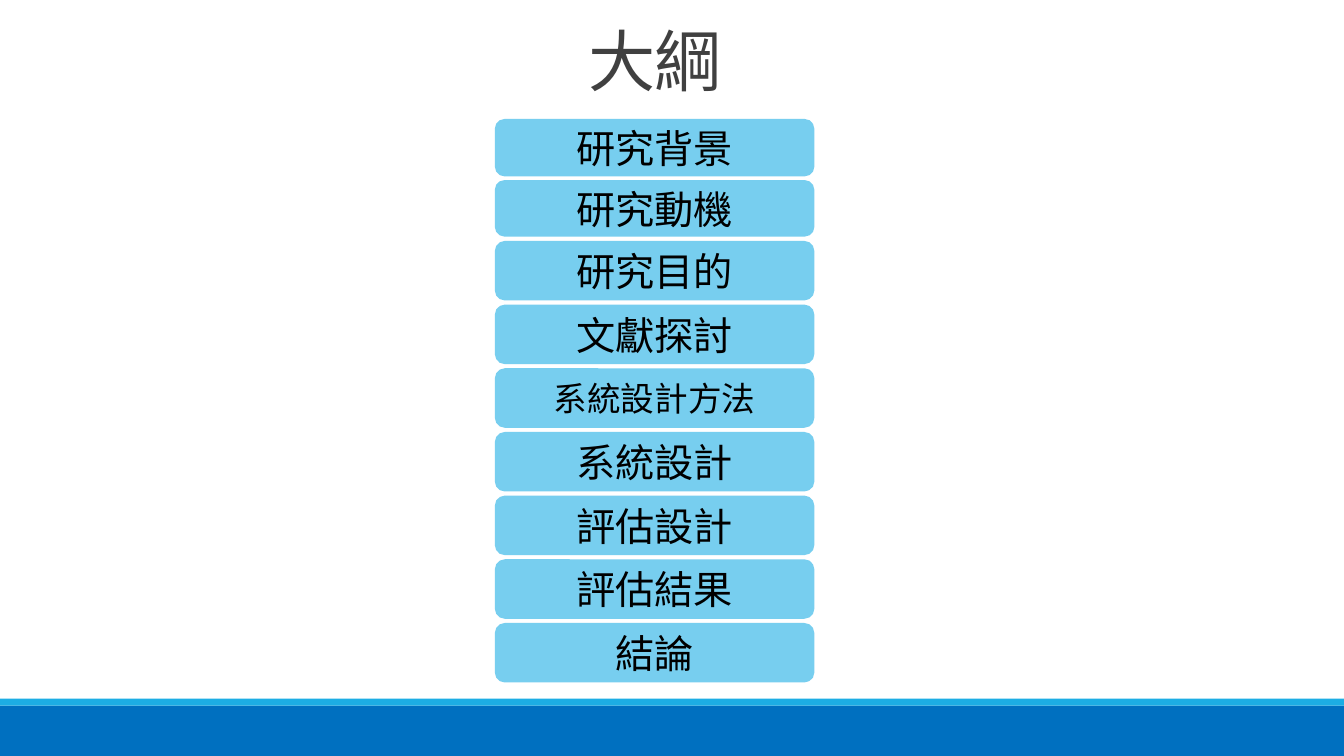
"""Build the outline slide with its stack of nine section labels."""
import pptx
import pptx.util
from pptx.dml.color import RGBColor
from pptx.enum.shapes import MSO_SHAPE
from pptx.enum.text import MSO_ANCHOR, PP_ALIGN

Pt = pptx.util.Pt

WHITE = RGBColor(0xFF, 0xFF, 0xFF)
BLACK = RGBColor(0x00, 0x00, 0x00)
CHARCOAL = RGBColor(0x40, 0x40, 0x40)
BLUE = RGBColor(0x00, 0x70, 0xC0)
CYAN = RGBColor(0x1C, 0xAD, 0xE4)
SKY = RGBColor(0x77, 0xCE, 0xEF)

SLIDE_WIDTH, SLIDE_HEIGHT = 960, 540
SECTION_LEFT, SECTION_WIDTH = 353.5, 228.2
REGULAR_TOP, REGULAR_HEIGHT, REGULAR_PITCH = 172.1, 42.5, 45.48


def write(frame, text, size=28, color=BLACK, font="Calibri",
          anchor=MSO_ANCHOR.MIDDLE, line_spacing=None, tracking=None):
    frame.word_wrap = True
    frame.vertical_anchor = anchor
    paragraph = frame.paragraphs[0]
    paragraph.alignment = PP_ALIGN.CENTER
    paragraph.line_spacing = line_spacing
    run = paragraph.add_run()
    run.text = text
    run.font.name = font
    run.font.size = Pt(size)
    run.font.color.rgb = color
    if tracking is not None:
        run.font._element.set("spc", str(round(tracking * 100)))


class OutlineSlide:
    def __init__(self, deck):
        self.slide = deck.slides.add_slide(deck.slide_layouts[6])
        self.slide.background.fill.solid()
        self.slide.background.fill.fore_color.rgb = WHITE

    def block(self, kind, left, top, width, height, fill):
        block = self.slide.shapes.add_shape(
            kind, Pt(left), Pt(top), Pt(width), Pt(height))
        block.shadow.inherit = False
        block.fill.solid()
        block.fill.fore_color.rgb = fill
        block.line.fill.background()
        return block

    def band(self, top, height, fill):
        self.block(MSO_SHAPE.RECTANGLE, 0, top, SLIDE_WIDTH, height, fill)

    def heading(self, text, left, top, width, height):
        heading = self.slide.shapes.add_textbox(
            Pt(left), Pt(top), Pt(width), Pt(height))
        write(heading.text_frame, text, size=48, color=CHARCOAL,
              anchor=MSO_ANCHOR.BOTTOM, line_spacing=0.85, tracking=-0.5)

    def section(self, text, top, height, size=28):
        section = self.block(MSO_SHAPE.ROUNDED_RECTANGLE, SECTION_LEFT, top,
                             SECTION_WIDTH, height, SKY)
        write(section.text_frame, text, size=size)


def main():
    deck = pptx.Presentation()
    deck.slide_width, deck.slide_height = Pt(SLIDE_WIDTH), Pt(SLIDE_HEIGHT)
    outline = OutlineSlide(deck)

    outline.band(504, 36, BLUE)
    outline.band(499, 5, CYAN)
    outline.heading("大綱", 296.6, -26.6, 342.7, 101.5)

    outline.section("研究背景", 85, 41)
    outline.section("研究動機", 128.7, 40.3)
    regular_sections = ["研究目的", "文獻探討", "系統設計方法", "系統設計",
                        "評估設計", "評估結果", "結論"]
    for row, title in enumerate(regular_sections):
        outline.section(title, REGULAR_TOP + row * REGULAR_PITCH,
                        REGULAR_HEIGHT, size=24 if len(title) > 4 else 28)

    deck.save("out.pptx")


if __name__ == "__main__":
    main()
